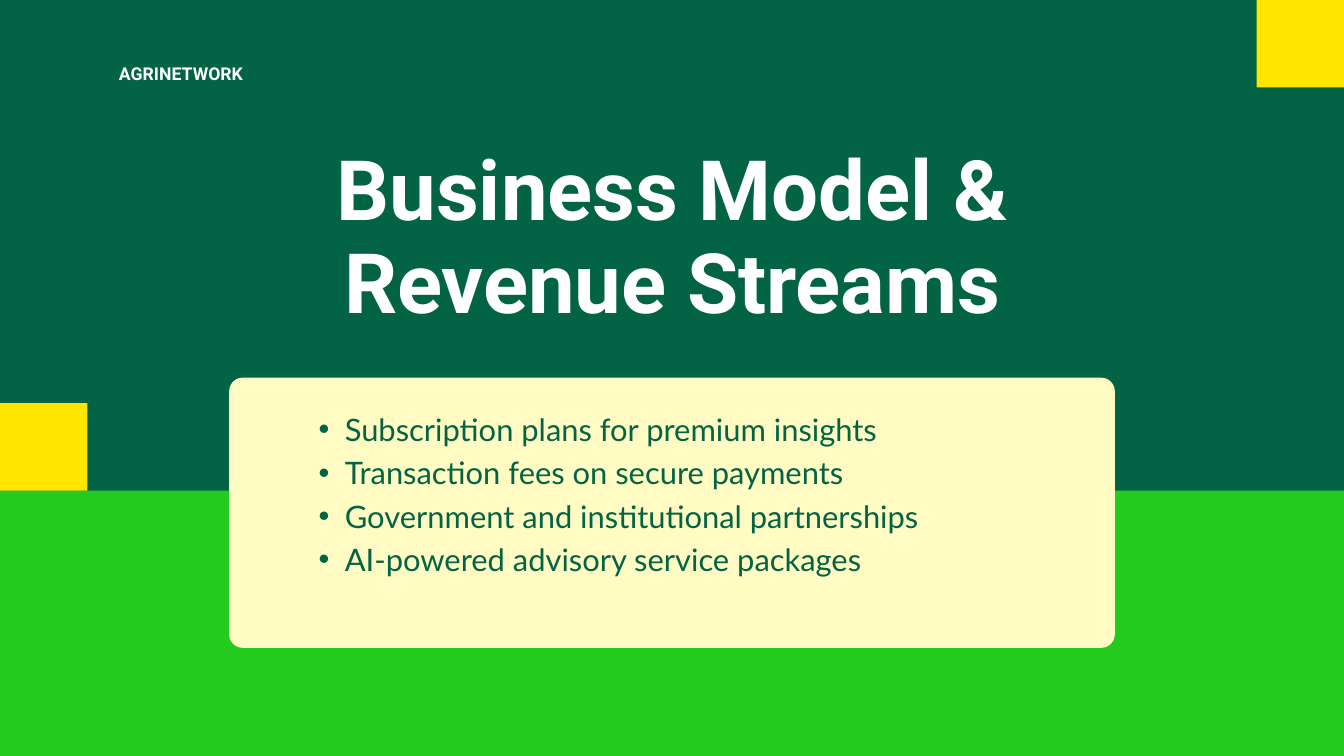
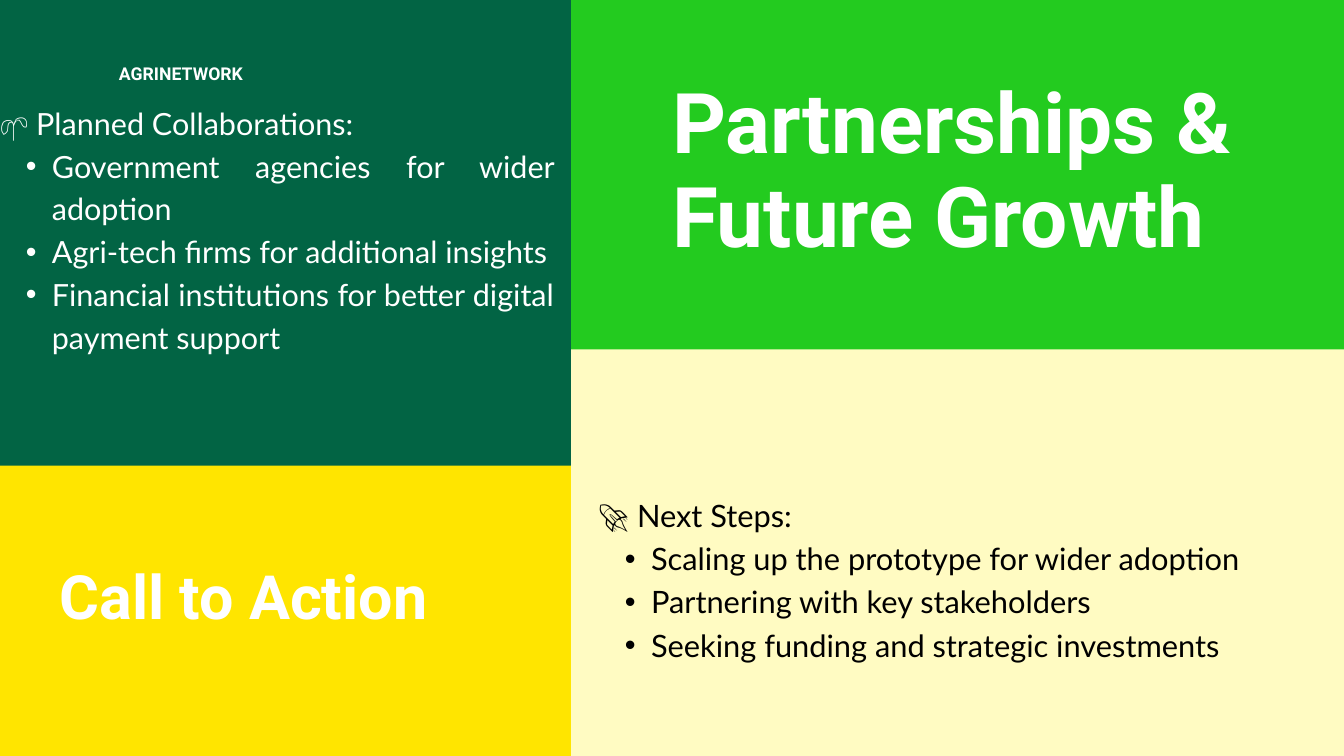
from lxml import etree
from pptx import Presentation, util as u
from pptx.dml.color import RGBColor
from pptx.enum import shapes, text
from pptx.oxml.ns import qn

COLUMNS, ROWS = 20, 11.25
CELL = u.Inches(1)
SPLIT = 8.5  # column where the right-hand panels begin on the growth slide
BULLET_INDENT = 1.7  # text indent of a bullet, in multiples of its font size

COLORS = {
    "forest": "026444",
    "leaf": "23CB1F",
    "sun": "FFE500",
    "cream": "FFFBC2",
    "white": "FFFFFF",
    "black": "000000",
}


def color(name):
    return RGBColor.from_string(COLORS[name])


def place(columns_rows):
    """Turn left, top, width and height in grid cells into lengths."""
    return [round(value * CELL) for value in columns_rows]


def add_panel(page, area, fill, rounding=None):
    kind = shapes.MSO_SHAPE.ROUNDED_RECTANGLE if rounding else shapes.MSO_SHAPE.RECTANGLE
    panel = page.shapes.add_shape(kind, *place(area))
    panel.shadow.inherit = False
    panel.fill.solid()
    panel.fill.fore_color.rgb = color(fill)
    panel.line.fill.background()
    if rounding:
        panel.adjustments[0] = rounding


def prepare_frame(box):
    frame = box.text_frame
    frame.word_wrap = True
    frame.auto_size = text.MSO_AUTO_SIZE.NONE
    frame.vertical_anchor = text.MSO_ANCHOR.TOP
    frame.margin_left = frame.margin_right = frame.margin_top = frame.margin_bottom = 0
    return frame


def style(para, font, size, leading, ink, bold=False, align=text.PP_ALIGN.LEFT):
    para.alignment = align
    para.line_spacing = u.Pt(leading)
    para.font.name = font
    para.font.size = u.Pt(size)
    para.font.bold = bold
    para.font.color.rgb = color(ink)


def add_bullet(para, size):
    para.level = 1
    indent = u.Pt(BULLET_INDENT * size)
    props = para._p.get_or_add_pPr()
    props.set("marL", str(indent))
    props.set("indent", str(-indent // 2))
    etree.SubElement(props, qn("a:buFont")).set("typeface", "Arial")
    etree.SubElement(props, qn("a:buChar")).set("char", "•")


def add_label(page, area, words, size, leading):
    para = prepare_frame(page.shapes.add_textbox(*place(area))).paragraphs[0]
    para.text = words
    style(para, "Roboto", size, leading, "white", bold=True)


def add_list(page, area, items, size, leading, ink, heading=None, align=text.PP_ALIGN.LEFT):
    frame = prepare_frame(page.shapes.add_textbox(*place(area)))
    lines = [heading, *items] if heading else items
    for number, line in enumerate(lines):
        para = frame.add_paragraph() if number else frame.paragraphs[0]
        para.text = line
        if line != heading:
            add_bullet(para, size)
        style(para, "Lato", size, leading, ink, align=align)


def set_title(page, area, words, size, leading, align=text.PP_ALIGN.LEFT):
    """Fill the title placeholder and bring it in front of the panels."""
    title = page.shapes.title
    title.left, title.top, title.width, title.height = place(area)
    para = prepare_frame(title).paragraphs[0]
    para.text = words
    style(para, "Roboto", size, leading, "white", bold=True, align=align)
    title.element.getparent().append(title.element)


def add_page(deck):
    page = deck.slides.add_slide(deck.slide_layouts[5])
    page.background.fill.solid()
    page.background.fill.fore_color.rgb = color("forest")
    return page


def add_deck_name(page):
    add_label(page, (1.77, 0.89, 5.15, 0.41), "AGRINETWORK", 18.9, 26.4)


def build_business_model(deck):
    page = add_page(deck)
    horizon, square = 7.3, 1.3
    add_panel(page, (0, horizon, COLUMNS, ROWS - horizon), "leaf")
    add_panel(page, (3.41, 5.62, 13.18, 4.02), "cream", rounding=0.05)
    for left, top in ((COLUMNS - square, 0), (0, horizon - square)):
        add_panel(page, (left, top, square, square), "sun")
    add_deck_name(page)
    set_title(page, (4.24, 2.14, 11.53, 3.06), "Business Model & Revenue Streams",
              89.2, 99.9, text.PP_ALIGN.CENTER)
    add_list(page, (4.35, 6.02, 15.17, 3.16), [
        "Subscription plans for premium insights",
        "Transaction fees on secure payments",
        "Government and institutional partnerships",
        "AI-powered advisory service packages",
    ], 33.1, 46.4, "forest")


def build_growth(deck):
    page = add_page(deck)
    action_top, steps_top = 6.93, 5.2
    add_panel(page, (0, action_top, COLUMNS, ROWS - action_top), "sun")
    add_panel(page, (SPLIT, 0, COLUMNS - SPLIT, 8.26), "leaf")
    add_panel(page, (SPLIT, steps_top, COLUMNS - SPLIT, ROWS - steps_top), "cream")
    add_deck_name(page)
    set_title(page, (10, 1.14, 9.52, 3.09), "Partnerships & Future Growth", 89.7, 100.5)
    add_list(page, (8.91, 7.3, 13.31, 3.14), [
        "Scaling up the prototype for wider adoption",
        "Partnering with key stakeholders",
        "Seeking funding and strategic investments",
    ], 33, 46.3, "black", "🚀 Next Steps:", text.PP_ALIGN.JUSTIFY)
    add_list(page, (0, 1.47, 8.25, 4.98), [
        "Government agencies for wider adoption",
        "Agri-tech firms for additional insights",
        "Financial institutions for better digital payment support",
    ], 32.7, 45.8, "white", "🌱 Planned Collaborations:", text.PP_ALIGN.JUSTIFY)
    add_label(page, (0.89, 8.39, 6.92, 1.24), "Call to Action", 65.3, 73.1)


def main():
    deck = Presentation()
    deck.slide_width = round(COLUMNS * CELL)
    deck.slide_height = round(ROWS * CELL)
    build_business_model(deck)
    build_growth(deck)
    deck.save("out.pptx")


if __name__ == "__main__":
    main()
